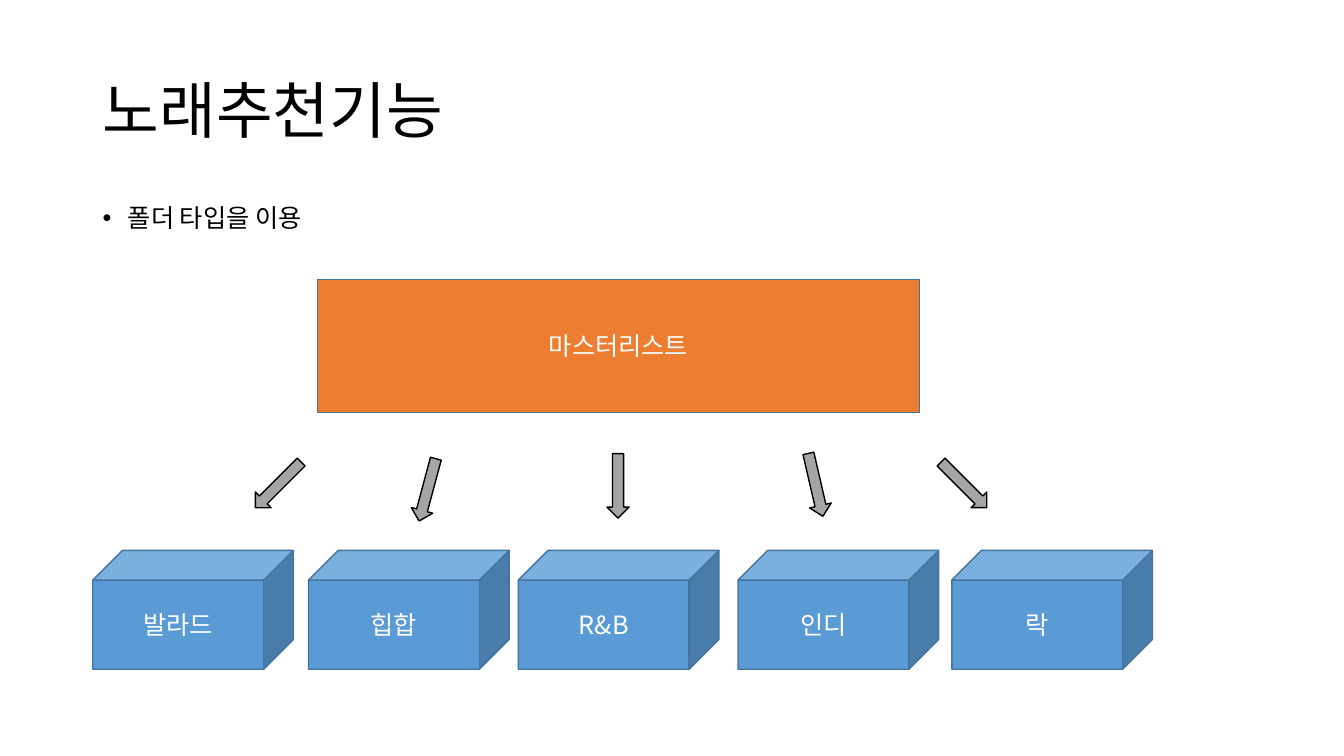
from lxml.etree import SubElement
from pptx import Presentation
from pptx.dml.color import RGBColor
from pptx.enum.shapes import MSO_SHAPE
from pptx.enum.text import MSO_ANCHOR, PP_ALIGN
from pptx.oxml.ns import qn
from pptx.util import Inches, Pt

FONT = "Noto Sans CJK KR"
COLORS = {
    "text": "000000",
    "label": "FFFFFF",
    "master": "ED7D31",
    "genre": "5B9BD5",
    "border": "43739E",
    "arrow": "A5A5A5",
    "arrow_border": "000000",
}
GENRES = [("발라드", 0.92), ("힙합", 3.06), ("R&B", 5.14), ("인디", 7.32), ("락", 9.44)]
ARROWS = [(2.44, 4.7, 315), (3.92, 4.75, 285), (5.81, 4.71, 270),
          (7.77, 4.7, 257), (9.24, 4.7, 225)]


def color(key):
    """Return the named palette colour."""
    return RGBColor.from_string(COLORS[key])


def add_run(paragraph, text, size, key):
    """Add a run with the slide font for Latin and Korean letters."""
    run = paragraph.add_run()
    run.text = text
    run.font.size = Pt(size)
    run.font.name = FONT
    run.font.color.rgb = color(key)
    SubElement(run.font._element, qn("a:ea"), typeface=FONT)


def add_block(slide, kind, box, fill, border, label=""):
    """Draw a filled, outlined shape in the box with a centred label."""
    block = slide.shapes.add_shape(kind, *map(Inches, box))
    block.shadow.inherit = False
    block.fill.solid()
    block.fill.fore_color.rgb = color(fill)
    block.line.color.rgb = color(border)
    block.line.width = Pt(1)
    if label:
        block.text_frame.vertical_anchor = MSO_ANCHOR.MIDDLE
        paragraph = block.text_frame.paragraphs[0]
        paragraph.alignment = PP_ALIGN.CENTER
        add_run(paragraph, label, 18, "label")
    return block


def add_text_area(slide, box, anchor):
    """Add a wrapping text box and return its first paragraph."""
    area = slide.shapes.add_textbox(*map(Inches, box)).text_frame
    area.word_wrap = True
    area.vertical_anchor = anchor
    return area.paragraphs[0]


def add_title(slide, box):
    """Write the slide title."""
    title = add_text_area(slide, box, MSO_ANCHOR.MIDDLE)
    title.line_spacing = 0.9
    add_run(title, "노래추천기능", 44, "text")


def add_summary(slide, box):
    """Write the bulleted summary."""
    summary = add_text_area(slide, box, MSO_ANCHOR.TOP)
    summary.space_before = Pt(10)
    properties = summary._p.get_or_add_pPr()
    properties.set("marL", str(Inches(0.25)))
    properties.set("indent", str(Inches(-0.25)))
    SubElement(properties, qn("a:buFont"), typeface="Arial")
    SubElement(properties, qn("a:buChar"), char="•")
    add_run(summary, "폴더 타입을 이용", 18, "text")


def add_folder_tree(slide, box):
    """Draw the master list, its genre folders and the arrows between them."""
    left, top, width, height = box
    add_block(slide, MSO_SHAPE.RECTANGLE, (left + 2.23, top, 5.97, 1.32),
              "master", "border", "마스터리스트")
    for genre, x in GENRES:
        add_block(slide, MSO_SHAPE.CUBE, (left + x - 0.92, top + height - 1.18, 1.99, 1.18),
                  "genre", "border", genre)
    for x, y, angle in ARROWS:
        arrow = add_block(slide, MSO_SHAPE.LEFT_ARROW,
                          (left + x - 0.92, top + y - 2.77, 0.64, 0.22),
                          "arrow", "arrow_border")
        arrow.rotation = angle


def main():
    """Build and save the slide."""
    deck = Presentation()
    deck.slide_width, deck.slide_height = Inches(13.33), Inches(7.5)
    slide = deck.slides.add_slide(deck.slide_layouts[6])
    add_title(slide, (0.92, 0.4, 11.5, 1.45))
    add_summary(slide, (0.92, 1.96, 11.5, 4.8))
    add_folder_tree(slide, (0.92, 2.77, 10.51, 3.87))
    deck.save("out.pptx")


if __name__ == "__main__":
    main()
